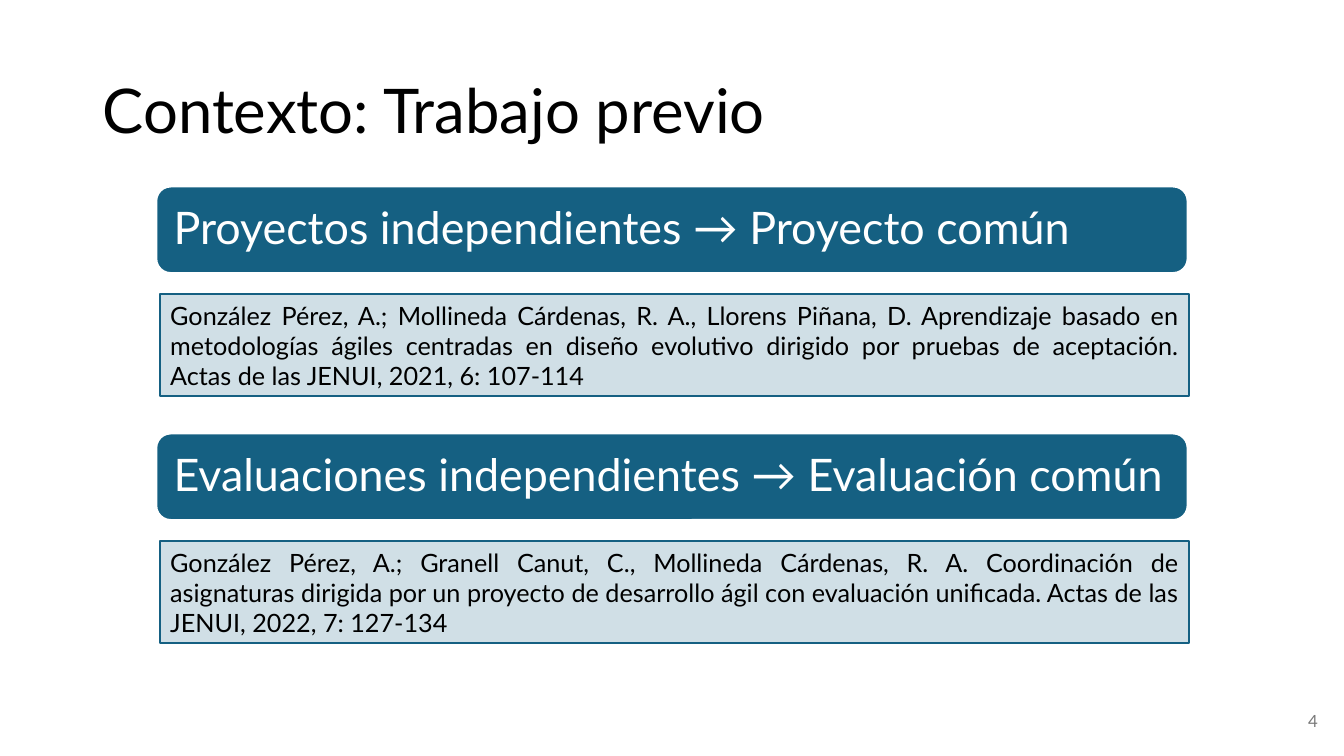
"""Build the slide on previous work: two headings, each with its reference."""
from lxml import etree
from pptx import Presentation
from pptx import util as u
from pptx.dml.color import RGBColor
from pptx.enum import shapes, text
from pptx.oxml import ns

PX = 9144
BLUE = RGBColor(0x15, 0x60, 0x82)
WHITE = RGBColor(0xFF, 0xFF, 0xFF)
BLACK = RGBColor(0x00, 0x00, 0x00)
GREY = RGBColor(0x79, 0x79, 0x79)
FONT = "Lato"

LEFT, ALIGN_RIGHT, JUSTIFY = (
    text.PP_ALIGN.LEFT, text.PP_ALIGN.RIGHT, text.PP_ALIGN.JUSTIFY)
TITLE = {"size": 44, "color": BLACK, "align": LEFT, "spacing": 0.9}
HEADING = {"size": 32, "color": WHITE, "align": LEFT, "spacing": 0.9}
REFERENCE = {"size": 18, "color": BLACK, "align": JUSTIFY, "spacing": 1.0}
NUMBER = {"size": 12, "color": GREY, "align": ALIGN_RIGHT, "spacing": 1.0}

TOPICS = [
    ("Proyectos independientes → Proyecto común",
     "González Pérez, A.; Mollineda Cárdenas, R. A., Llorens Piñana, D. "
     "Aprendizaje basado en metodologías ágiles centradas en diseño evolutivo "
     "dirigido por pruebas de aceptación. Actas de las JENUI, 2021, 6: 107-114"),
    ("Evaluaciones independientes → Evaluación común",
     "González Pérez, A.; Granell Canut, C., Mollineda Cárdenas, R. A. "
     "Coordinación de asignaturas dirigida por un proyecto de desarrollo ágil "
     "con evaluación unificada. Actas de las JENUI, 2022, 7: 127-134"),
]
FIRST_TOP, TOPIC_STEP, REFERENCE_OFFSET = 185, 245, 107


def px(*lengths):
    return [u.Emu(n * PX) for n in lengths]


def write(sp, words, style, inset=(10, 5)):
    tf = sp.text_frame
    side, edge = px(*inset)
    frame = {"word_wrap": True, "vertical_anchor": text.MSO_ANCHOR.MIDDLE,
             "margin_left": side, "margin_right": side,
             "margin_top": edge, "margin_bottom": edge}
    for name, value in frame.items():
        setattr(tf, name, value)
    p = tf.paragraphs[0]
    p.alignment = style["align"]
    p.line_spacing = style["spacing"]
    r = p.add_run()
    r.text = words
    for name, value in {"name": FONT, "size": u.Pt(style["size"])}.items():
        setattr(r.font, name, value)
    r.font.color.rgb = style["color"]


def add_label(s, box, words, style):
    write(s.shapes.add_textbox(*px(*box)), words, style)


def add_panel(s, kind, box, line):
    sp = s.shapes.add_shape(kind, *px(*box))
    sp.shadow.inherit = False
    sp.fill.solid()
    sp.fill.fore_color.rgb = BLUE
    sp.line.color.rgb = line
    sp.line.width = u.Pt(1.5)
    return sp


def add_heading(s, top, words):
    sp = add_panel(s, shapes.MSO_SHAPE.ROUNDED_RECTANGLE,
                   (155, top, 1023, 86), WHITE)
    write(sp, words, HEADING, (13, 13))


def add_reference(s, top, words):
    sp = add_panel(s, shapes.MSO_SHAPE.RECTANGLE, (159, top, 1020, 101), BLUE)
    color = sp.fill._xPr.find(ns.qn("a:solidFill"))[0]
    etree.SubElement(color, ns.qn("a:alpha"), val="20000")
    write(sp, words, REFERENCE)


def main():
    prs = Presentation()
    prs.slide_width, prs.slide_height = px(1333, 750)
    s = prs.slides.add_slide(prs.slide_layouts[6])
    add_label(s, (92, 40, 1150, 145), "Contexto: Trabajo previo", TITLE)
    for i, (heading, reference) in enumerate(TOPICS):
        top = FIRST_TOP + i * TOPIC_STEP
        add_heading(s, top, heading)
        add_reference(s, top + REFERENCE_OFFSET, reference)
    add_label(s, (1017, 695, 300, 40), "4", NUMBER)
    prs.save("out.pptx")


if __name__ == "__main__":
    main()
